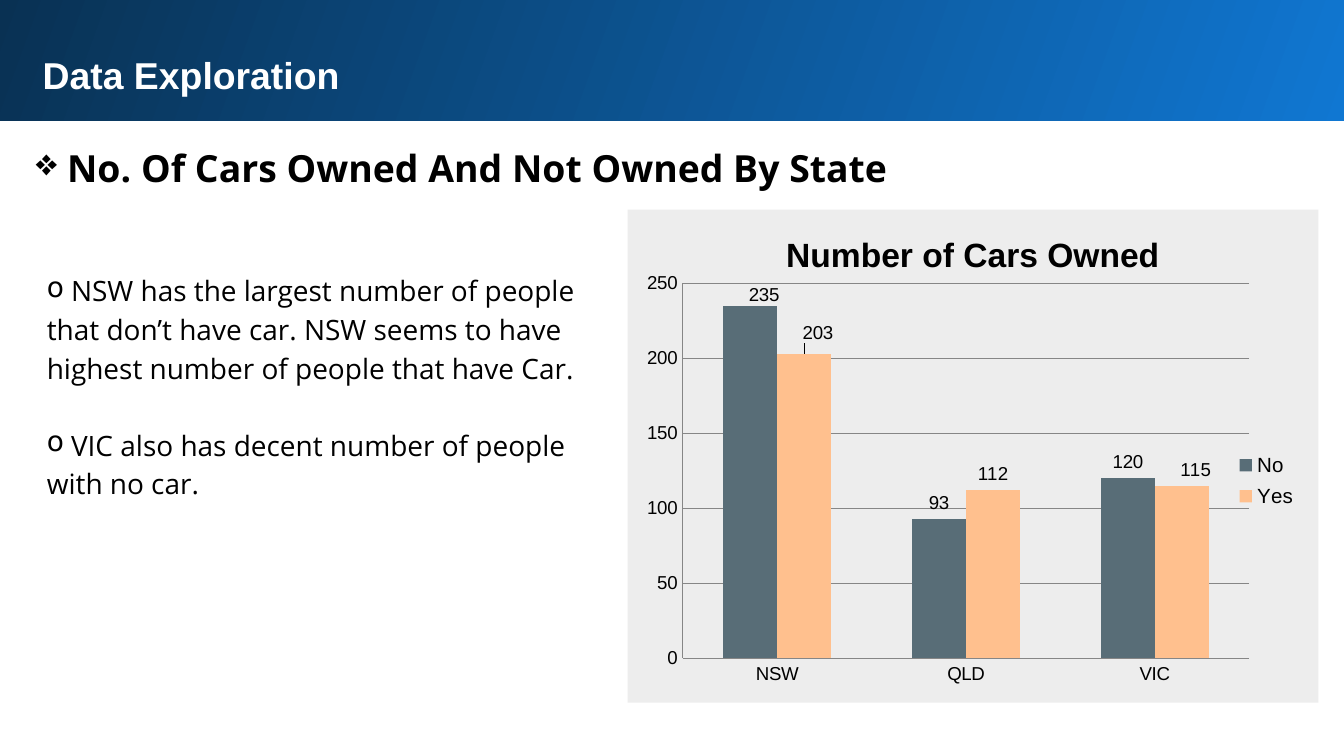
from pptx import Presentation
from pptx.chart.data import CategoryChartData
from pptx.dml.color import RGBColor
from pptx.enum.chart import XL_CHART_TYPE, XL_LABEL_POSITION, XL_LEGEND_POSITION, XL_TICK_MARK
from pptx.enum.shapes import MSO_SHAPE
from pptx.enum.text import MSO_AUTO_SIZE
from pptx.oxml import parse_xml
from pptx.oxml.ns import nsdecls
from pptx.util import Pt


def tint(code):
    return RGBColor.from_string(code)


def style(font, size, color="000000", bold=False, face="Arial"):
    font.name, font.size, font.bold = face, Pt(size), bold
    font.color.rgb = tint(color)


def write(para, text, bullet=None, space=None, before=0, **form):
    run = para.add_run()
    run.text = text
    style(run.font, **form)
    para.space_before = Pt(before)
    if space:
        para.line_spacing = space
    if bullet:
        props = para._p.get_or_add_pPr()
        props.set("marL", "0")
        props.set("indent", "0")
        props.append(parse_xml(f'<a:buChar {nsdecls("a")} char="{bullet}"/>'))


def layout(x, y, size=None):
    parts = [("xMode", "edge"), ("yMode", "edge")] if size else []
    parts += [("x", x), ("y", y)]
    if size:
        parts += [("w", size[0]), ("h", size[1])]
    body = "".join(f'<c:{tag} val="{val}"/>' for tag, val in parts)
    if size == PLOT:
        body = '<c:layoutTarget val="inner"/>' + body
    return parse_xml(f'<c:layout {nsdecls("c")}><c:manualLayout>{body}</c:manualLayout></c:layout>')


PLOT = (0.82, 0.76)
GREY = "868686"


class Deck:
    """Hold the style and the current slide."""

    def __init__(self, wide, high):
        self.show = Presentation()
        self.show.slide_width, self.show.slide_height = Pt(wide), Pt(high)
        self.slide = self.show.slides.add_slide(self.show.slide_layouts[6])

    def band(self, box, stops, angle):
        shape = self.slide.shapes.add_shape(MSO_SHAPE.RECTANGLE, *map(Pt, box))
        shape.shadow.inherit = False
        shape.line.fill.background()
        shape.fill.gradient()
        shape.fill.gradient_angle = angle
        for stop, color, place in zip(shape.fill.gradient_stops, stops, (0, 1)):
            stop.color.rgb, stop.position = tint(color), place

    def text(self, box, lines, gap=0, **form):
        frame = self.slide.shapes.add_textbox(*map(Pt, box)).text_frame
        frame.word_wrap = True
        frame.auto_size = MSO_AUTO_SIZE.SHAPE_TO_FIT_TEXT
        frame.margin_left = frame.margin_right = Pt(7.2)
        frame.margin_top = frame.margin_bottom = Pt(7.2)
        for num, line in enumerate(lines):
            para = frame.add_paragraph() if num else frame.paragraphs[0]
            write(para, line, before=gap if num else 0, **form)

    def columns(self, box, title, cats, rows, shifts):
        data = CategoryChartData()
        data.categories = cats
        for name, (vals, color) in rows.items():
            data.add_series(name, vals)
        chart = self.slide.shapes.add_chart(
            XL_CHART_TYPE.COLUMN_CLUSTERED, *map(Pt, box), data).chart
        style(chart.font, 10)
        chart._chartSpace.chart.addnext(parse_xml(
            f'<c:spPr {nsdecls("c", "a")}><a:solidFill><a:srgbClr val="EDEDED"/></a:solidFill>'
            '<a:ln><a:noFill/></a:ln></c:spPr>'))
        write(chart.chart_title.text_frame.paragraphs[0], title, size=18, bold=True)
        chart.has_legend = True
        chart.legend.position = XL_LEGEND_POSITION.RIGHT
        chart.legend.include_in_layout = False
        style(chart.legend.font, 11)
        chart.legend._element.find("{*}legendPos").addnext(layout(0.87, 0.48, (0.11, 0.14)))
        area = chart._chartSpace.chart.plotArea
        for old in area.findall("{*}layout"):
            area.remove(old)
        area.insert(0, layout(0.08, 0.15, PLOT))
        axis = chart.value_axis
        axis.minimum_scale, axis.maximum_scale, axis.major_unit = 0, 250, 50
        for line in (axis.format.line, axis.major_gridlines.format.line,
                     chart.category_axis.format.line):
            line.color.rgb, line.width = tint(GREY), Pt(0.75)
        for each in (axis, chart.category_axis):
            each.major_tick_mark = XL_TICK_MARK.NONE
        plot = chart.plots[0]
        plot.vary_by_categories = False
        plot.gap_width, plot.overlap = 150, 0
        for bars, (vals, color) in zip(plot.series, rows.values()):
            bars.format.fill.solid()
            bars.format.fill.fore_color.rgb = tint(color)
            marks = bars.data_labels
            marks.show_value = True
            marks.position = XL_LABEL_POSITION.OUTSIDE_END
            style(marks.font, 10)
            for spot, (x, y) in shifts[bars.name].items():
                label = bars.points[spot].data_label
                label.position = XL_LABEL_POSITION.OUTSIDE_END
                item = label._dLbl
                item.find("{*}idx").addnext(layout(x, y))


deck = Deck(720, 405)
deck.band((-1.5, -1.5, 723.5, 66.25), ("1077D2", "093153"), 160)
deck.text((15.8, 20.9, 674.6, 36.7), ["Data Exploration"],
          size=20, color="FFFFFF", bold=True)
deck.text((12.2, 58.3, 674.6, 123.8), [" No. Of Cars Owned And Not Owned By State"],
          bullet="❖", space=1.5, size=20, bold=True, face="Open Sans")
deck.text((18, 136.8, 325.4, 160.6), [
    " NSW has the largest number of people that don’t have car. "
    "NSW seems to have highest number of people that have Car.",
    " VIC also has decent number of people with no car."],
    gap=20.6, bullet="o", space=1.15, size=15, face="Open Sans")
deck.columns((336.2, 112.3, 370.1, 264.2), "Number of Cars Owned", ("NSW", "QLD", "VIC"),
             {"No": ((235, 93, 120), "586D77"), "Yes": ((203, 112, 115), "FFC08E")},
             {"No": {0: (0.02, 0.01)}, "Yes": {0: (0.02, -0.01), 2: (0.02, 0)}})
deck.show.save("out.pptx")
